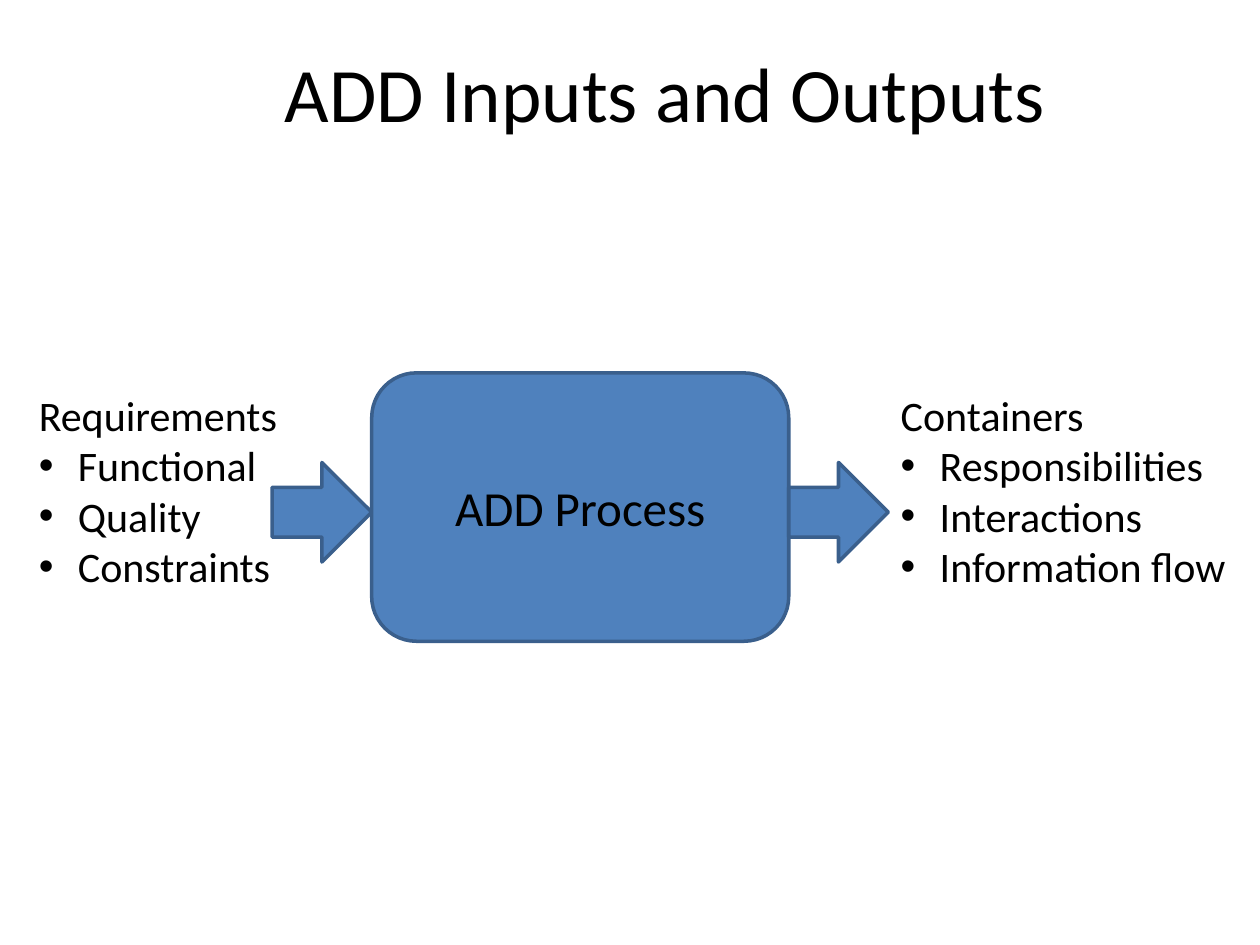
from lxml.etree import SubElement
from pptx import Presentation
from pptx.dml.color import RGBColor
from pptx.enum.shapes import MSO_SHAPE
from pptx.enum.text import MSO_ANCHOR, MSO_AUTO_SIZE, PP_ALIGN
from pptx.oxml.ns import qn
from pptx.util import Inches, Pt

BLACK = RGBColor(0x00, 0x00, 0x00)
BLUE = RGBColor(0x4F, 0x81, 0xBD)
DARK_BLUE = RGBColor(0x3A, 0x5F, 0x8C)
FONT = "Calibri"

BOX_LEFT, BOX_TOP, BOX_WIDTH, BOX_HEIGHT = 2.95, 2.96, 3.31, 2.13
ARROW_SIZE, ARROW_TOP = 0.79, 3.67
LIST_TOP, LIST_HEIGHT = 3.04, 1.72
BULLET_INDENT = Inches(0.31)


def add_run(p, text, size):
    r = p.add_run()
    r.text = text
    r.font.name = FONT
    r.font.size = Pt(size)
    r.font.color.rgb = BLACK


def add_centred_text(sp, text, size):
    tf = sp.text_frame
    tf.word_wrap = True
    tf.vertical_anchor = MSO_ANCHOR.MIDDLE
    p = tf.paragraphs[0]
    p.alignment = PP_ALIGN.CENTER
    add_run(p, text, size)


def add_title(s, text):
    sp = s.shapes.add_textbox(Inches(1.06), Inches(0.3), Inches(8.44), Inches(0.85))
    add_centred_text(sp, text, 44)


def add_block(s, preset, left, top, width, height):
    sp = s.shapes.add_shape(preset, Inches(left), Inches(top), Inches(width), Inches(height))
    sp.shadow.inherit = False
    sp.fill.solid()
    sp.fill.fore_color.rgb = BLUE
    sp.line.color.rgb = DARK_BLUE
    sp.line.width = Pt(2)
    return sp


def add_arrow(s, left):
    add_block(s, MSO_SHAPE.RIGHT_ARROW, left, ARROW_TOP, ARROW_SIZE, ARROW_SIZE)


def set_bullet(p):
    pPr = p._p.get_or_add_pPr()
    pPr.set("marL", str(BULLET_INDENT))
    pPr.set("indent", str(-BULLET_INDENT))
    SubElement(pPr, qn("a:buFont")).set("typeface", "Arial")
    SubElement(pPr, qn("a:buChar")).set("char", "•")


def add_list(s, left, width, heading, items, wrap):
    """Add a plain heading line followed by bulleted items."""
    sp = s.shapes.add_textbox(Inches(left), Inches(LIST_TOP), Inches(width), Inches(LIST_HEIGHT))
    tf = sp.text_frame
    tf.word_wrap = wrap
    tf.auto_size = MSO_AUTO_SIZE.SHAPE_TO_FIT_TEXT
    add_run(tf.paragraphs[0], heading, 24)
    for item in items:
        p = tf.add_paragraph()
        set_bullet(p)
        add_run(p, item, 24)


def main():
    prs = Presentation()
    prs.slide_width, prs.slide_height = Inches(10), Inches(7.5)
    s = prs.slides.add_slide(prs.slide_layouts[6])

    add_title(s, "ADD Inputs and Outputs")
    process = add_block(s, MSO_SHAPE.ROUNDED_RECTANGLE,
                        BOX_LEFT, BOX_TOP, BOX_WIDTH, BOX_HEIGHT)
    add_centred_text(process, "ADD Process", 28)

    box_right = BOX_LEFT + BOX_WIDTH
    add_list(s, 0.21, 2.11, "Requirements",
             ["Functional", "Quality", "Constraints"], wrap=False)
    add_list(s, box_right + ARROW_SIZE, 3.11, "Containers",
             ["Responsibilities", "Interactions", "Information flow"], wrap=True)
    add_arrow(s, box_right)
    add_arrow(s, BOX_LEFT - ARROW_SIZE)

    prs.save("out.pptx")


if __name__ == "__main__":
    main()
